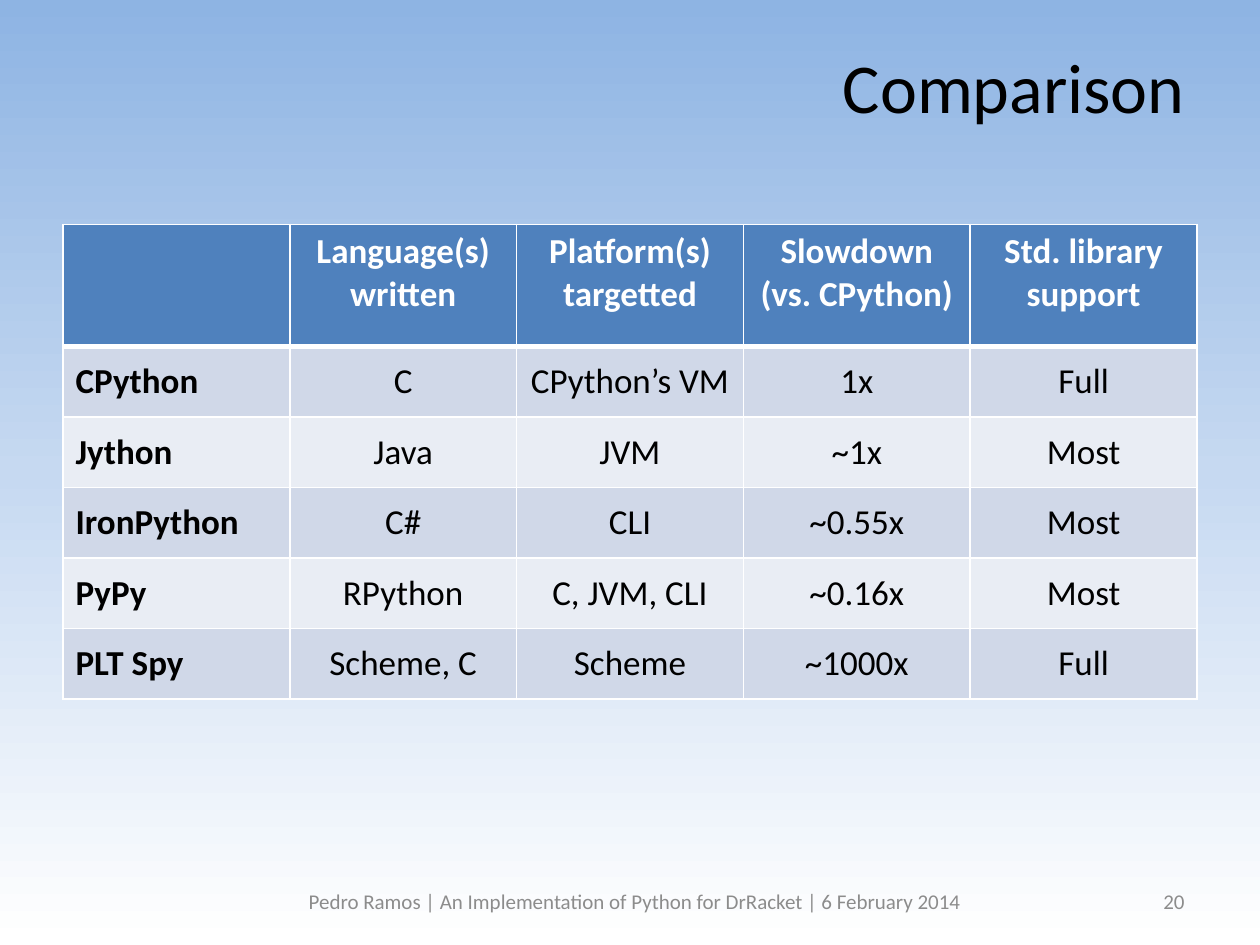
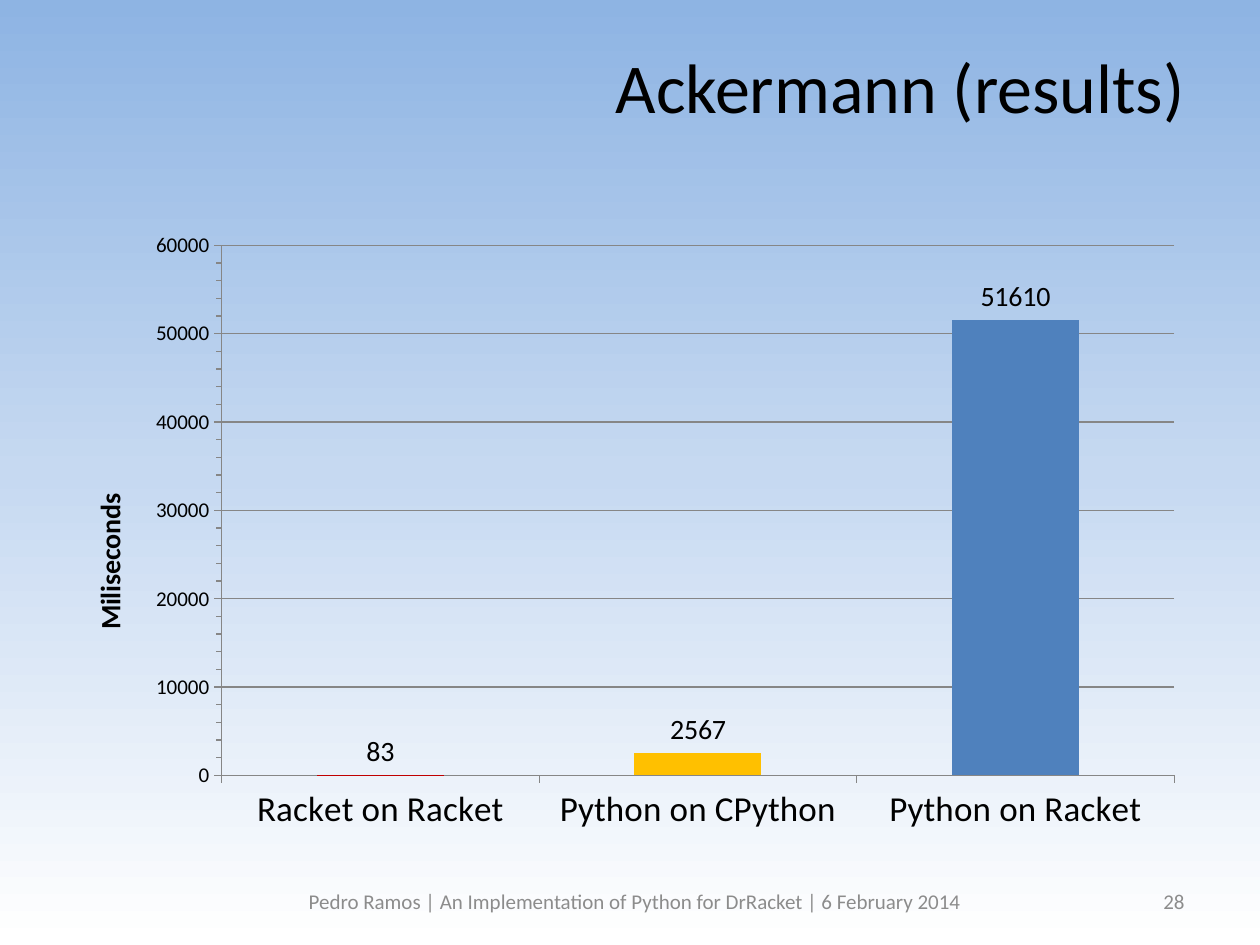
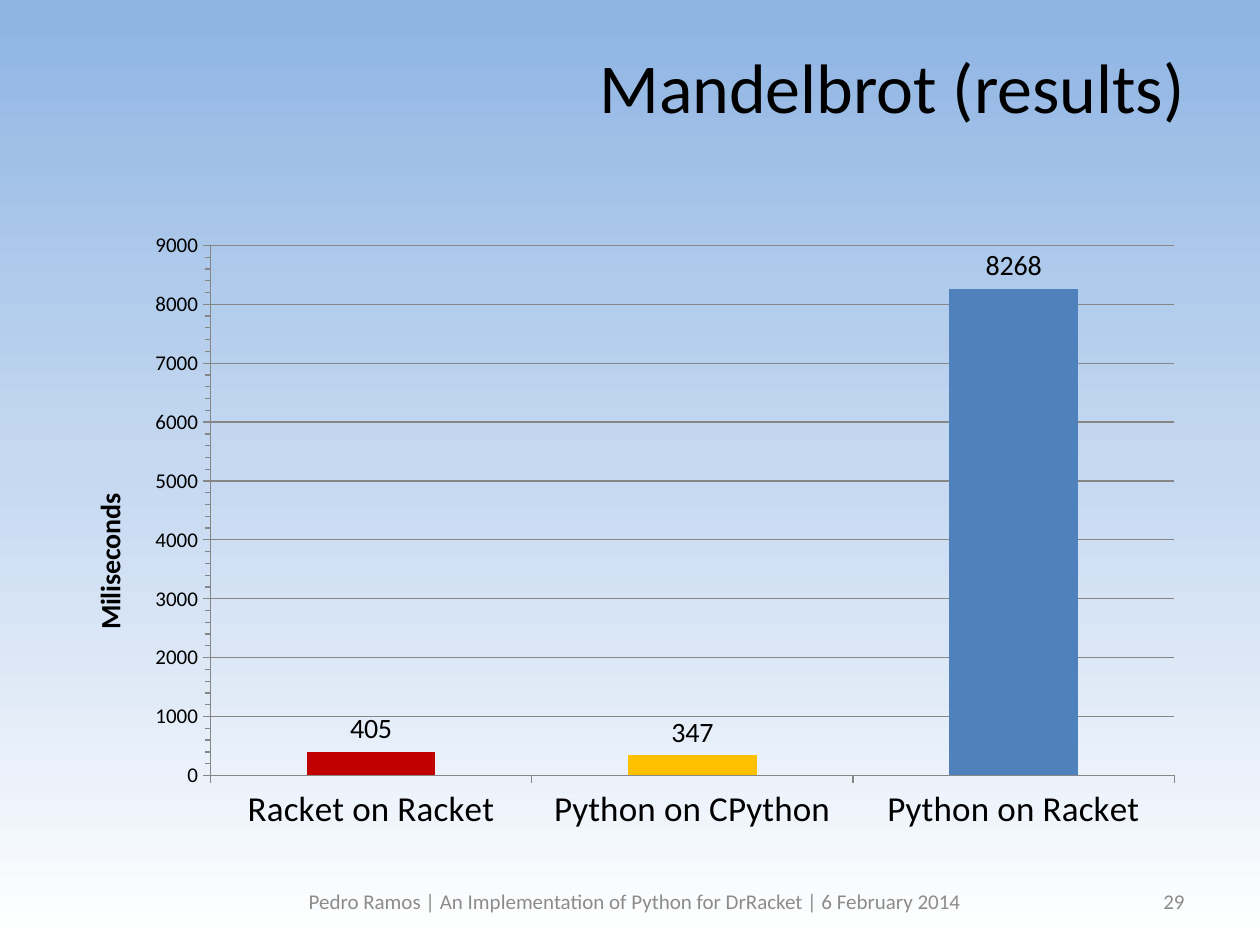
import copy

import pptx
import pptx.chart.data
import pptx.dml.color
import pptx.enum.chart
import pptx.enum.text
import pptx.oxml
import pptx.oxml.ns
import pptx.util

Inches = pptx.util.Inches
Pt = pptx.util.Pt
qn = pptx.oxml.ns.qn
ALIGN = pptx.enum.text.PP_ALIGN
ANCHOR = pptx.enum.text.MSO_ANCHOR
TICK = pptx.enum.chart.XL_TICK_MARK

FONT = "Calibri"
FOOTER = "Pedro Ramos | An Implementation of Python for DrRacket | 6 February 2014"
COLORS = {
    "sky": "8EB4E3", "pale_sky": "C6D9F1", "white": "FFFFFF", "black": "000000",
    "footer": "8C8C8C", "blue": "4F81BD", "red": "C00000", "amber": "FFC000",
    "band_dark": "D0D8E8", "band_light": "E9EDF4", "axis": "868686",
}

COMPARISON = [
    ["", "Language(s)\nwritten", "Platform(s)\ntargetted", "Slowdown\n(vs. CPython)", "Std. library\nsupport"],
    ["CPython", "C", "CPython’s VM", "1x", "Full"],
    ["Jython", "Java", "JVM", "~1x", "Most"],
    ["IronPython", "C#", "CLI", "~0.55x", "Most"],
    ["PyPy", "RPython", "C, JVM, CLI", "~0.16x", "Most"],
    ["PLT Spy", "Scheme, C", "Scheme", "~1000x", "Full"],
]
RUNTIMES = ["Racket on Racket", "Python on CPython", "Python on Racket"]


def rgb(name):
    return pptx.dml.color.RGBColor.from_string(COLORS[name])


def style_font(font, size, color="black", bold=False):
    font.name = FONT
    font.size = Pt(size)
    font.bold = bold
    font.color.rgb = rgb(color)


def write_text(text_frame, text, size=20, color="black", bold=False, align=ALIGN.LEFT):
    """Write one paragraph for each line of text."""
    for index, line in enumerate(text.split("\n")):
        paragraph = text_frame.add_paragraph() if index else text_frame.paragraphs[0]
        paragraph.alignment = align
        run = paragraph.add_run()
        run.text = line
        style_font(run.font, size, color, bold)


def add_text(slide, text, left, top, width, height, **text_format):
    box = slide.shapes.add_textbox(Inches(left), Inches(top), Inches(width), Inches(height))
    box.text_frame.word_wrap = True
    box.text_frame.vertical_anchor = ANCHOR.MIDDLE
    write_text(box.text_frame, text, **text_format)


def set_background(master):
    """Shade every slide from sky blue down to white."""
    fill = master.background.fill
    fill.gradient()
    fill.gradient_angle = 270
    stop_list = master.element.find(".//" + qn("p:bg")).find(".//" + qn("a:gsLst"))
    stop_list.append(copy.deepcopy(stop_list[-1]))
    for stop, color, position in zip(fill.gradient_stops, ("sky", "pale_sky", "white"), (0, 0.5, 1)):
        stop.color.rgb = rgb(color)
        stop.position = position


def add_slide(presentation, title, number):
    """Add a slide with the shared title, footer and slide number."""
    slide = presentation.slides.add_slide(presentation.slide_layouts[6])
    add_text(slide, title, 2.56, 0.27, 6.94, 0.81, size=40, align=ALIGN.RIGHT)
    add_text(slide, FOOTER, 1.93, 6.95, 6.22, 0.4, size=12, color="footer", align=ALIGN.CENTER)
    add_text(slide, str(number), 7.17, 6.95, 2.33, 0.4, size=12, color="footer", align=ALIGN.RIGHT)
    return slide


def set_borders(cell, **widths):
    properties = cell._tc.get_or_add_tcPr()
    for side in "LRTB":
        width = Pt(widths.get(side, 1))
        properties.append(pptx.oxml.parse_xml(
            f'<a:ln{side} {pptx.oxml.ns.nsdecls("a")} w="{width}"><a:solidFill>'
            f'<a:srgbClr val="{COLORS["white"]}"/></a:solidFill></a:ln{side}>'))


def add_table(slide, rows, left, top, column_width, header_height, row_height):
    columns = len(rows[0])
    height = header_height + row_height * (len(rows) - 1)
    table = slide.shapes.add_table(
        len(rows), columns, Inches(left), Inches(top),
        Inches(column_width * columns), Inches(height)).table
    for column in table.columns:
        column.width = Inches(column_width)
    for row_index, row in enumerate(rows):
        is_header = row_index == 0
        table.rows[row_index].height = Inches(header_height if is_header else row_height)
        band = "blue" if is_header else "band_dark" if row_index % 2 else "band_light"
        for column_index, text in enumerate(row):
            cell = table.cell(row_index, column_index)
            is_label = column_index == 0
            # The rule under the header is heavier
            set_borders(cell, B=3 if is_header else 1, T=3 if row_index == 1 else 1)
            cell.fill.solid()
            cell.fill.fore_color.rgb = rgb(band)
            cell.vertical_anchor = ANCHOR.TOP if is_header else ANCHOR.MIDDLE
            if text:
                write_text(cell.text_frame, text, color="white" if is_header else "black",
                           bold=is_header or is_label,
                           align=ALIGN.LEFT if is_label else ALIGN.CENTER)


def set_layout(element, index, **fractions):
    """Place a chart part by fractions of the chart's size."""
    layout = element.find(qn("c:layout"))
    if layout is not None:
        element.remove(layout)
    target = '<c:layoutTarget val="inner"/>' if "w" in fractions else ""
    modes = "".join(f'<c:{key}Mode val="edge"/>' for key in ("x", "y"))
    values = "".join(f'<c:{key} val="{value:.3f}"/>' for key, value in fractions.items())
    element.insert(index, pptx.oxml.parse_xml(
        f'<c:layout {pptx.oxml.ns.nsdecls("c")}><c:manualLayout>'
        f'{target}{modes}{values}</c:manualLayout></c:layout>'))


def style_axis(axis, size):
    style_font(axis.tick_labels.font, size)
    axis.major_tick_mark = TICK.OUTSIDE
    axis.format.line.color.rgb = rgb("axis")
    axis.format.line.width = Pt(0.75)


def add_results_chart(slide, times, maximum, step, plot_left):
    data = pptx.chart.data.CategoryChartData()
    data.categories = RUNTIMES
    data.add_series("Series 1", times)
    chart = slide.shapes.add_chart(
        pptx.enum.chart.XL_CHART_TYPE.COLUMN_CLUSTERED,
        Inches(0.5), Inches(1.75), Inches(9), Inches(4.95), data).chart
    chart.has_title = False
    chart.has_legend = False
    style_font(chart.font, 10)
    set_layout(chart.element.find(".//" + qn("c:plotArea")), 0,
               x=plot_left, y=0.04, w=0.98 - plot_left, h=0.85)

    # Axes
    style_axis(chart.category_axis, 20)
    value_axis = chart.value_axis
    style_axis(value_axis, 12)
    value_axis.minor_tick_mark = TICK.OUTSIDE
    value_axis.minimum_scale = 0
    value_axis.maximum_scale = maximum
    value_axis.major_unit = step
    value_axis.minor_unit = step / 5
    value_axis.has_major_gridlines = True
    value_axis.major_gridlines.format.line.color.rgb = rgb("axis")
    value_axis.major_gridlines.format.line.width = Pt(0.75)
    axis_title = value_axis.axis_title
    write_text(axis_title.text_frame, "Miliseconds", size=16, bold=True)
    body = axis_title.element.find(".//" + qn("a:bodyPr"))
    body.set("rot", "-5400000")
    body.set("vert", "horz")
    set_layout(axis_title.element, 1, x=0.02, y=0.43)

    # Columns and their values
    plot = chart.plots[0]
    plot.vary_by_categories = False
    plot.gap_width = 150
    series = plot.series[0]
    series.format.fill.solid()
    series.format.fill.fore_color.rgb = rgb("blue")
    for index, color in enumerate(("red", "amber")):
        fill = series.points[index].format.fill
        fill.solid()
        fill.fore_color.rgb = rgb(color)
    labels = series.data_labels
    labels.show_value = True
    labels.position = pptx.enum.chart.XL_LABEL_POSITION.OUTSIDE_END
    style_font(labels.font, 16)


def main():
    presentation = pptx.Presentation()
    presentation.slide_width = Inches(10)
    presentation.slide_height = Inches(7.5)
    set_background(presentation.slide_master)

    # Comparison of implementations
    slide = add_slide(presentation, "Comparison", 20)
    add_table(slide, COMPARISON, left=0.5, top=1.78, column_width=1.8,
              header_height=0.97, row_height=0.56)

    # Benchmark results
    slide = add_slide(presentation, "Ackermann (results)", 28)
    add_results_chart(slide, (83, 2567, 51610), maximum=60000, step=10000, plot_left=0.14)
    slide = add_slide(presentation, "Mandelbrot (results)", 29)
    add_results_chart(slide, (405, 347, 8268), maximum=9000, step=1000, plot_left=0.13)

    presentation.save("out.pptx")


if __name__ == "__main__":
    main()
